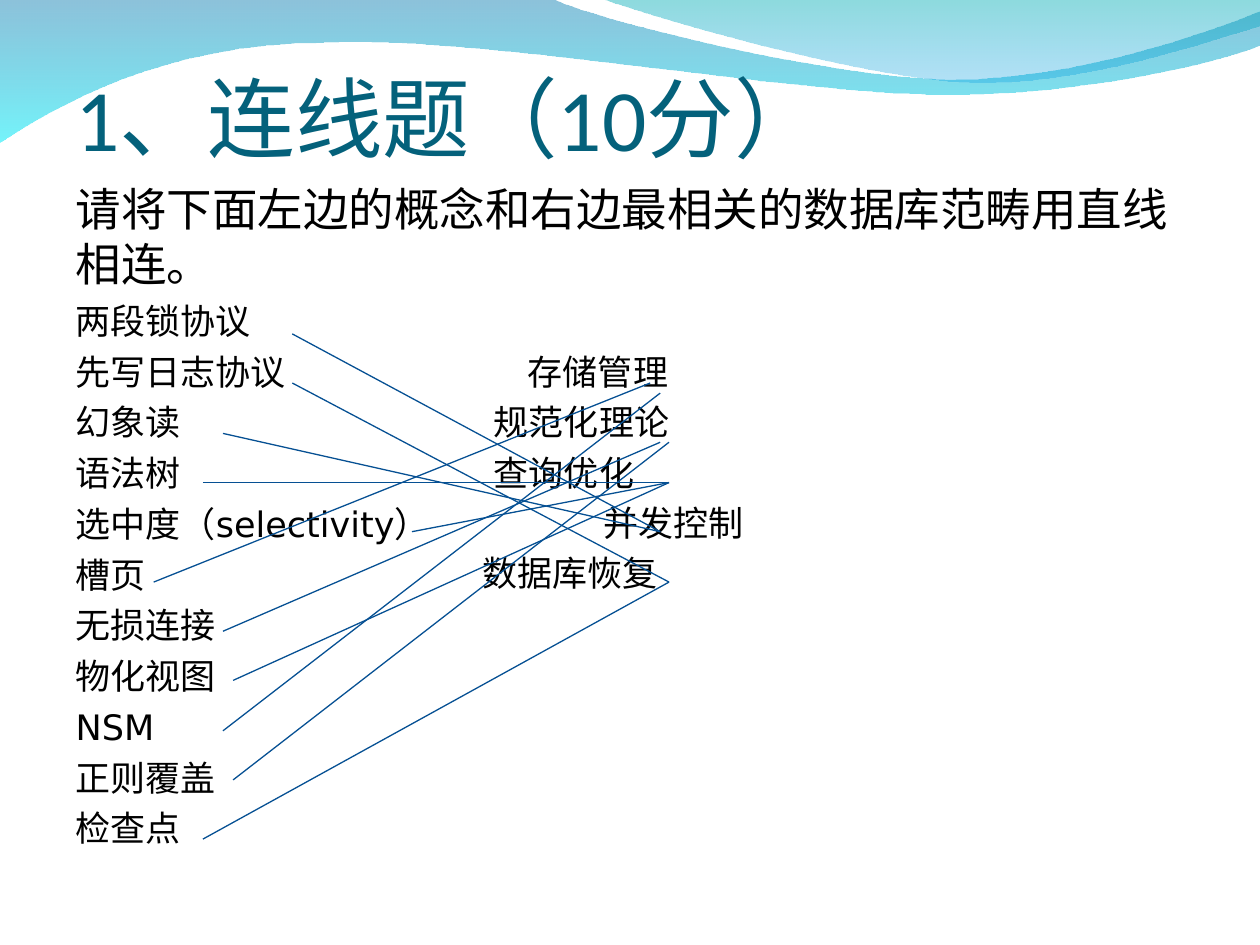
import pptx
import pptx.util
import pptx.dml.color
import pptx.enum.text
import pptx.enum.shapes
import pptx.oxml.ns
from lxml import etree

Inches = pptx.util.Inches
Pt = pptx.util.Pt
RGB = pptx.dml.color.RGBColor
qn = pptx.oxml.ns.qn

TEAL = RGB(0x04, 0x61, 0x7B)
BLACK = RGB(0, 0, 0)
NAVY = RGB(0x06, 0x50, 0x93)
DEEP = RGB(0x00, 0x79, 0xAF)
CYAN = RGB(0x00, 0xEB, 0xF8)
SEA = RGB(0x00, 0xAD, 0xB6)
SKY = RGB(0x00, 0x9B, 0xE5)

TASK = "请将下面左边的概念和右边最相关的数据库范畴用直线相连。"
TERMS = [
    "两段锁协议", "先写日志协议", "幻象读", "语法树", "选中度（selectivity）", "槽页",
    "无损连接", "物化视图", "NSM", "正则覆盖", "检查点",
]
FIELDS = [
    ("存储管理", 4.19),
    ("规范化理论", 3.92),
    ("查询优化", 3.92),
    ("并发控制", 4.79),
    ("数据库恢复", 3.83),
]
LINKS = [
    (2.32, 2.65, 5.24, 4.22),
    (2.32, 3.04, 5.31, 4.62),
    (1.77, 3.44, 5.24, 4.22),
    (1.61, 3.83, 5.31, 3.83),
    (3.27, 4.22, 5.31, 3.83),
    (1.22, 4.62, 5.16, 3.04),
    (1.77, 5.01, 5.24, 3.51),
    (1.85, 5.4, 5.31, 3.83),
    (1.77, 5.8, 5.24, 3.12),
    (1.85, 6.19, 5.31, 3.51),
    (1.61, 6.66, 5.31, 4.62),
]
BROAD = [
    [(0, 0)],
    [(4.4, 0)],
    [(4.76, 0.17), (6.64, 0.63), (7.58, 0.63)],
    [(8.53, 0.63), (9.58, 0.26), (10, 0.09)],
    [(10, 0.36)],
    [(9.83, 0.44), (8.7, 0.76), (7.46, 0.75)],
    [(6.22, 0.75), (3.82, 0.28), (2.57, 0.34)],
    [(1.29, 0.35), (0.46, 0.83), (0, 1.13)],
]
SMALL = [
    [(4.79, 0)],
    [(5.09, 0.11), (6.82, 0.62), (7.69, 0.65)],
    [(8.56, 0.69), (9.61, 0.32), (10, 0.21)],
    [(10, 0)],
]


class Deck:
    def __init__(self):
        self.file = pptx.Presentation()
        self.file.slide_width = Inches(10)
        self.file.slide_height = Inches(7.5)
        self.slide = self.file.slides.add_slide(self.file.slide_layouts[1])

    def wave(self, parts, stops):
        dots = [(Inches(x), Inches(y)) for part in parts for x, y in part]
        pen = self.slide.shapes.build_freeform(*dots[0], scale=1.0)
        pen.add_line_segments(dots[1:], close=True)
        shape = pen.convert_to_shape()
        self.bend(shape, parts[1:])
        shape.shadow.inherit = False
        shape.line.fill.background()
        shape.fill.gradient()
        shape.fill.gradient_angle = 270
        for stop, (color, _) in zip(shape.fill.gradient_stops, stops):
            stop.color.rgb = color
        tints = shape._element.spPr.iter(qn("a:srgbClr"))
        for tint, (_, alpha) in zip(tints, stops):
            etree.SubElement(tint, qn("a:alpha")).set("val", str(alpha * 1000))

    def bend(self, shape, parts):
        lines = iter(list(shape._element.spPr.iter(qn("a:lnTo"))))
        for part in parts:
            group = [next(lines) for _ in part]
            if len(group) == 3:
                cubic = etree.Element(qn("a:cubicBezTo"))
                group[0].addprevious(cubic)
                for line in group:
                    cubic.append(line[0])
                    line.getparent().remove(line)

    def frame(self, holder, left, top, width, height):
        self.slide.shapes._spTree.append(holder._element)
        holder.left, holder.top = Inches(left), Inches(top)
        holder.width, holder.height = Inches(width), Inches(height)
        frame = holder.text_frame
        frame.word_wrap = True
        frame.auto_size = pptx.enum.text.MSO_AUTO_SIZE.NONE
        frame.vertical_anchor = pptx.enum.text.MSO_ANCHOR.TOP
        return frame

    def style(self, para, name, size, color, before=0):
        para.alignment = pptx.enum.text.PP_ALIGN.LEFT
        para.space_before = Pt(before)
        props = para._p.get_or_add_pPr()
        props.set("marL", "0")
        props.set("indent", "0")
        etree.SubElement(props, qn("a:buNone"))
        para.font.name = name
        para.font.size = Pt(size)
        para.font.color.rgb = color

    def title(self, text):
        frame = self.frame(self.slide.shapes.title, 0.5, 0.55, 9, 0.86)
        para = frame.paragraphs[0]
        para.text = text
        para.line_spacing = 0.9
        self.style(para, "Calibri", 50, TEAL)

    def body(self, task, terms):
        frame = self.frame(self.slide.placeholders[1], 0.5, 1.39, 9, 5.41)
        para = frame.paragraphs[0]
        para.text = task
        self.style(para, "DejaVu Sans", 26, BLACK)
        for term in terms:
            para = frame.add_paragraph()
            para.text = term
            self.style(para, "DejaVu Sans", 20, BLACK, 5)

    def label(self, text, left, top):
        box = self.slide.shapes.add_textbox(0, 0, 0, 0)
        frame = self.frame(box, left, top, 1.6, 0.34)
        frame.margin_left = frame.margin_right = 0
        frame.margin_top = frame.margin_bottom = 0
        para = frame.paragraphs[0]
        para.text = text
        self.style(para, "DejaVu Sans", 20, BLACK)

    def link(self, *ends):
        kind = pptx.enum.shapes.MSO_CONNECTOR.STRAIGHT
        line = self.slide.shapes.add_connector(kind, *map(Inches, ends))
        line.line.color.rgb = NAVY
        line.line.width = Pt(0.75)
        etree.SubElement(line._element.spPr, qn("a:effectLst"))


def main():
    deck = Deck()
    deck.wave(BROAD, [(DEEP, 45), (CYAN, 55)])
    deck.wave(SMALL, [(SEA, 45), (SKY, 30)])
    deck.title("1、连线题（10分）")
    deck.body(TASK, TERMS)
    for row, (text, left) in enumerate(FIELDS):
        deck.label(text, left, 2.78 + 0.4 * row)
    for ends in LINKS:
        deck.link(*ends)
    deck.file.save("out.pptx")


if __name__ == "__main__":
    main()
